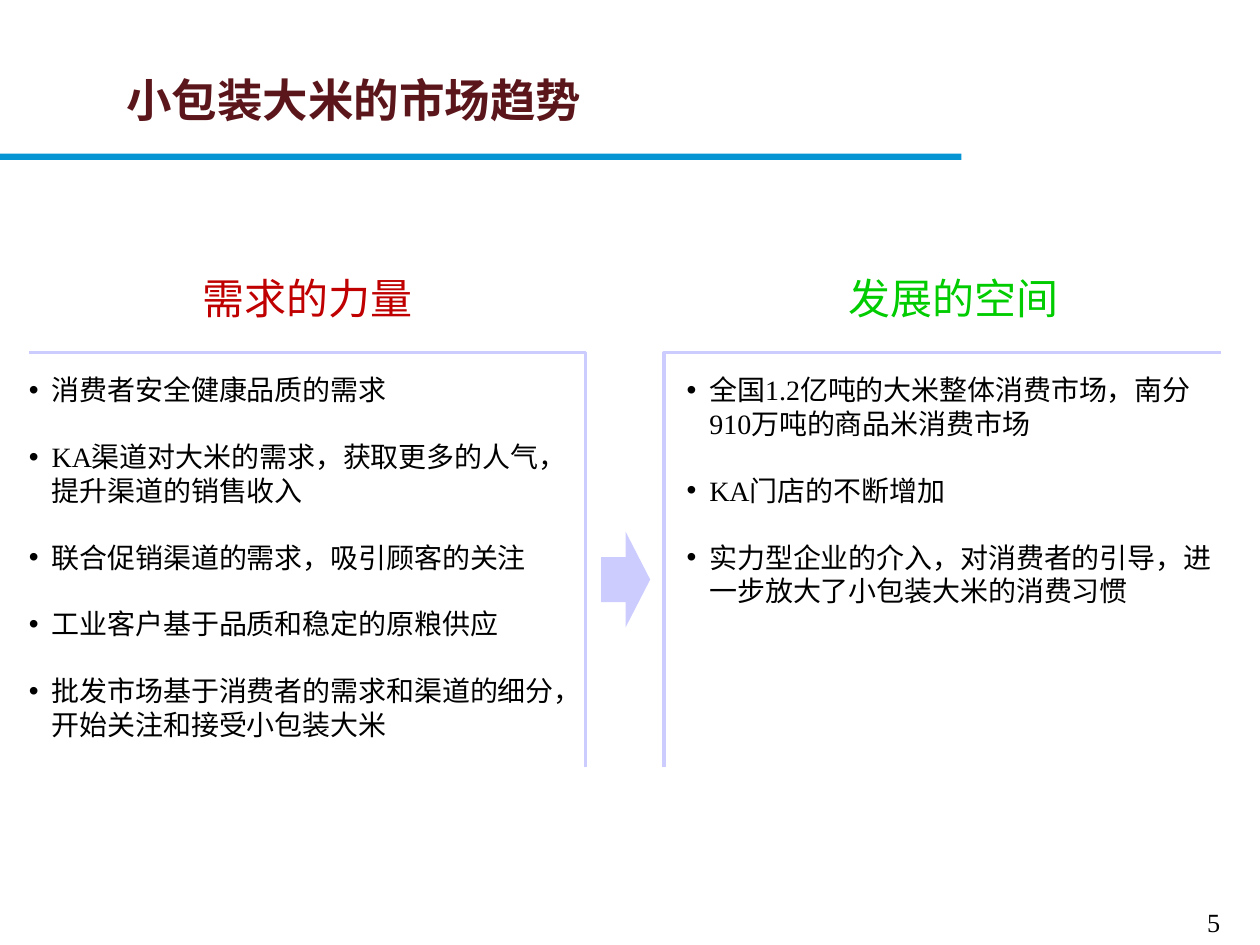
from lxml import etree
from pptx import Presentation
from pptx.dml.color import RGBColor
from pptx.enum.shapes import MSO_SHAPE
from pptx.enum.text import MSO_ANCHOR, MSO_AUTO_SIZE, PP_ALIGN
from pptx.oxml.ns import qn
from pptx.util import Inches, Pt

RECT, RIGHT_ARROW = MSO_SHAPE.RECTANGLE, MSO_SHAPE.RIGHT_ARROW
MIDDLE, TOP = MSO_ANCHOR.MIDDLE, MSO_ANCHOR.TOP
LEFT, CENTER = PP_ALIGN.LEFT, PP_ALIGN.CENTER
NO_FIT = MSO_AUTO_SIZE.NONE

FONT = "Times New Roman"
COLORS = {
    "title": "5B161B",
    "rule": "0595D4",
    "demand": "C00000",
    "growth": "00CC00",
    "frame": "CCCCFF",
    "text": "000000",
}
DEMAND = [
    "消费者安全健康品质的需求",
    "KA渠道对大米的需求，获取更多的人气，提升渠道的销售收入",
    "联合促销渠道的需求，吸引顾客的关注",
    "工业客户基于品质和稳定的原粮供应",
    "批发市场基于消费者的需求和渠道的细分，开始关注和接受小包装大米",
]
GROWTH = [
    "全国1.2亿吨的大米整体消费市场，南分910万吨的商品米消费市场",
    "KA门店的不断增加",
    "实力型企业的介入，对消费者的引导，进一步放大了小包装大米的消费习惯",
]


def rgb(name):
    """Return the named colour."""
    return RGBColor.from_string(COLORS[name])


def place(sp, x, y, w, h):
    """Move and size a shape, in inches."""
    sp.left, sp.top, sp.width, sp.height = map(Inches, (x, y, w, h))


def set_frame(sp, anchor, inset_x=0, inset_y=0):
    """Set the wrapping, anchor and insets of a shape's text."""
    tf = sp.text_frame
    tf.word_wrap, tf.auto_size, tf.vertical_anchor = True, NO_FIT, anchor
    tf.margin_left = tf.margin_right = Inches(inset_x)
    tf.margin_top = tf.margin_bottom = Inches(inset_y)
    return tf


def write(p, text, size, color, align=LEFT, bold=False):
    """Add one formatted run to a paragraph."""
    p.alignment = align
    p.space_before = Pt(0)
    r = p.add_run()
    r.text = text
    r.font.name, r.font.size, r.font.bold = FONT, Pt(size), bold
    r.font.color.rgb = rgb(color)


def add_block(s, kind, x, y, w, h, color):
    """Add a plain filled shape without outline."""
    sp = s.shapes.add_shape(kind, *map(Inches, (x, y, w, h)))
    sp.shadow.inherit = False
    sp.fill.solid()
    sp.fill.fore_color.rgb = rgb(color)
    sp.line.fill.background()
    return sp


def add_header(s, x, y, w, h):
    """Fill the title and draw the rule below it."""
    title = s.shapes.title
    place(title, x, y, w, h)
    tf = set_frame(title, MIDDLE, 0.08, 0.04)
    write(tf.paragraphs[0], "小包装大米的市场趋势", 26, "title", bold=True)
    add_block(s, RECT, -0.01, 1.22, 7.64, 0.05, "rule")


def fill_heading(sp, text, color, x, y, w, h):
    """Fill a column heading."""
    place(sp, x, y, w, h)
    write(set_frame(sp, MIDDLE).paragraphs[0], text, 24, color, CENTER)


def fill_list(sp, items, x, y, w, h):
    """Fill a bulleted list with a line of space between items."""
    place(sp, x, y, w, h)
    tf = set_frame(sp, TOP)
    for i, item in enumerate(items):
        p = tf.paragraphs[0] if i == 0 else tf.add_paragraph()
        pPr = p._p.get_or_add_pPr()
        pPr.set("marL", str(Inches(0.18)))
        pPr.set("indent", str(-Inches(0.18)))
        etree.SubElement(pPr, qn("a:buChar")).set("char", "•")
        write(p, item, 16, "text")
        if i:
            p.space_before = Pt(19)


def add_frame(s, x, y, w, h, upright_right):
    """Draw a top line joined to one upright side."""
    near, far = (x + w, x) if upright_right else (x, x + w)
    fb = s.shapes.build_freeform(Inches(near), Inches(y + h), scale=1.0)
    corners = [(Inches(near), Inches(y)), (Inches(far), Inches(y))]
    fb.add_line_segments(corners, close=False)
    sp = fb.convert_to_shape()
    sp.shadow.inherit = False
    sp.fill.background()
    sp.line.color.rgb = rgb("frame")
    sp.line.width = Pt(1.75)


def add_column(s, heading, body, text, color, items, x, y, w, inset, list_w):
    """Place a heading, its list and their frame in one column."""
    fill_heading(heading, text, color, x + inset, y, w - inset, 0.34)
    add_frame(s, x, y + 0.61, w, 3.29, upright_right=not inset)
    fill_list(body, items, x + inset, y + 0.77, list_w, 3.1)


def add_page_number(s, x, y, w, h):
    """Add the page number."""
    sp = s.shapes.add_textbox(*map(Inches, (x, y, w, h)))
    tf = set_frame(sp, TOP, 0.07, 0.04)
    write(tf.paragraphs[0], "5", 15, "text")


def main():
    """Build and save the slide."""
    prs = Presentation()
    prs.slide_width, prs.slide_height = Inches(10), Inches(7.5)
    s = prs.slides.add_slide(prs.slide_layouts[4])
    _, head_l, body_l, head_r, body_r = s.placeholders
    add_header(s, 0.92, 0.4, 7.22, 0.77)
    add_column(s, head_l, body_l, "需求的力量", "demand", DEMAND,
               0.23, 2.19, 4.42, 0, 4.28)
    add_column(s, head_r, body_r, "发展的空间", "growth", GROWTH,
               5.27, 2.19, 4.42, 0.18, 4.17)
    arrow = add_block(s, RIGHT_ARROW, 4.77, 4.22, 0.39, 0.76, "frame")
    arrow.adjustments[0], arrow.adjustments[1] = 0.47, 0.5
    add_page_number(s, 9.51, 7.15, 0.4, 0.33)
    prs.save("out.pptx")


if __name__ == "__main__":
    main()
